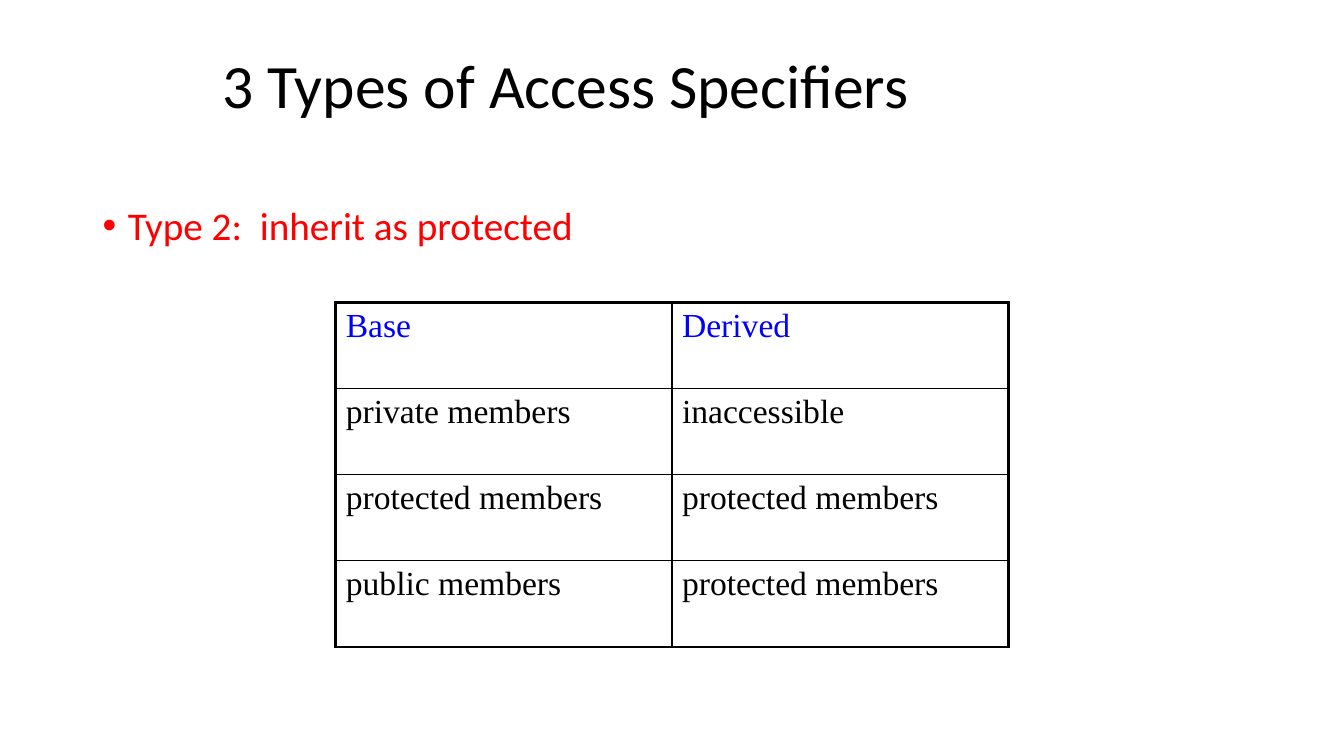
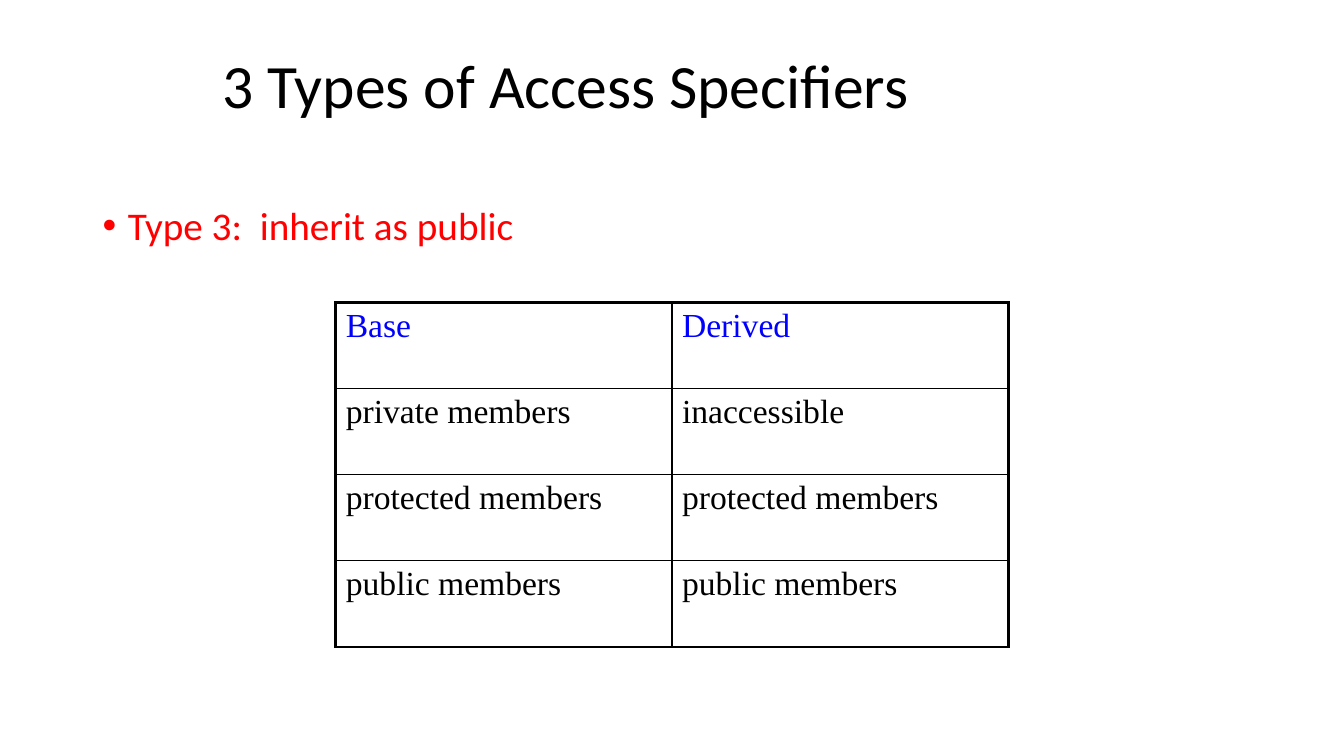
from lxml.etree import SubElement
from pptx import Presentation
from pptx.dml.color import RGBColor
from pptx.enum.text import MSO_ANCHOR
from pptx.oxml.ns import qn
from pptx.util import Inches, Pt

COLORS = {"ink": "000000", "point": "FF0000", "head": "0000FF"}
SANS, SERIF = "Calibri", "Times New Roman"
THIN, THICK = Pt(1), Pt(2.25)


class Deck:
    """Holds the shared style and the current slide."""

    def __init__(self):
        self.prs = Presentation()
        self.prs.slide_width = Inches(13.33)
        self.prs.slide_height = Inches(7.5)

    def add(self):
        self.slide = self.prs.slides.add_slide(self.prs.slide_layouts[6])

    def style(self, para, font, size, color):
        for run in para.runs:
            run.font.name = font
            run.font.size = Pt(size)
            run.font.color.rgb = RGBColor.from_string(COLORS[color])

    def text(self, text, box, size, color, anchor=MSO_ANCHOR.TOP):
        shape = self.slide.shapes.add_textbox(*map(Inches, box))
        frame = shape.text_frame
        frame.word_wrap = True
        frame.vertical_anchor = anchor
        frame.text = text
        para = frame.paragraphs[0]
        para.line_spacing = 0.9
        self.style(para, SANS, size, color)
        return para

    def title(self, text):
        self.text(text, (2.11, 0.25, 9.14, 1.25), 44, "ink", MSO_ANCHOR.MIDDLE)

    def bullet(self, text):
        para = self.text(text, (0.92, 2, 11.5, 4.76), 28, "point")
        props = para._p.get_or_add_pPr()
        props.set("marL", str(Inches(0.25)))
        props.set("indent", str(-Inches(0.25)))
        SubElement(props, qn("a:buFont"), typeface="Arial")
        SubElement(props, qn("a:buChar"), char="•")

    def edges(self, cell, widths):
        # Border lines come before the fill in the cell properties
        props = cell._tc.get_or_add_tcPr()
        for spot, (side, width) in enumerate(widths.items()):
            line = SubElement(props, qn(f"a:ln{side}"), w=str(width))
            fill = SubElement(line, qn("a:solidFill"))
            SubElement(fill, qn("a:srgbClr"), val=COLORS["ink"])
            props.insert(spot, line)

    def table(self, rows):
        high, wide = len(rows), len(rows[0])
        box = map(Inches, (3.33, 3, 6.67, 3.42))
        table = self.slide.shapes.add_table(high, wide, *box).table
        table.first_row = table.horz_banding = False
        for r, row in enumerate(rows):
            for c, text in enumerate(row):
                cell = table.cell(r, c)
                cell.text = text
                cell.fill.background()
                para = cell.text_frame.paragraphs[0]
                self.style(para, SERIF, 24, "ink" if r else "head")
                outer = {"L": c == 0, "R": c == wide - 1,
                         "T": r == 0, "B": r == high - 1}
                self.edges(cell, {side: THICK if out else THIN
                                  for side, out in outer.items()})


def main():
    deck = Deck()
    # Kind of inheritance, and what public members become
    kinds = [("Type 2:  inherit as protected", "protected members"),
             ("Type 3:  inherit as public", "public members")]
    for point, result in kinds:
        deck.add()
        deck.title("3 Types of Access Specifiers")
        deck.bullet(point)
        deck.table([("Base", "Derived"),
                    ("private members", "inaccessible"),
                    ("protected members", "protected members"),
                    ("public members", result)])
    deck.prs.save("out.pptx")


if __name__ == "__main__":
    main()
